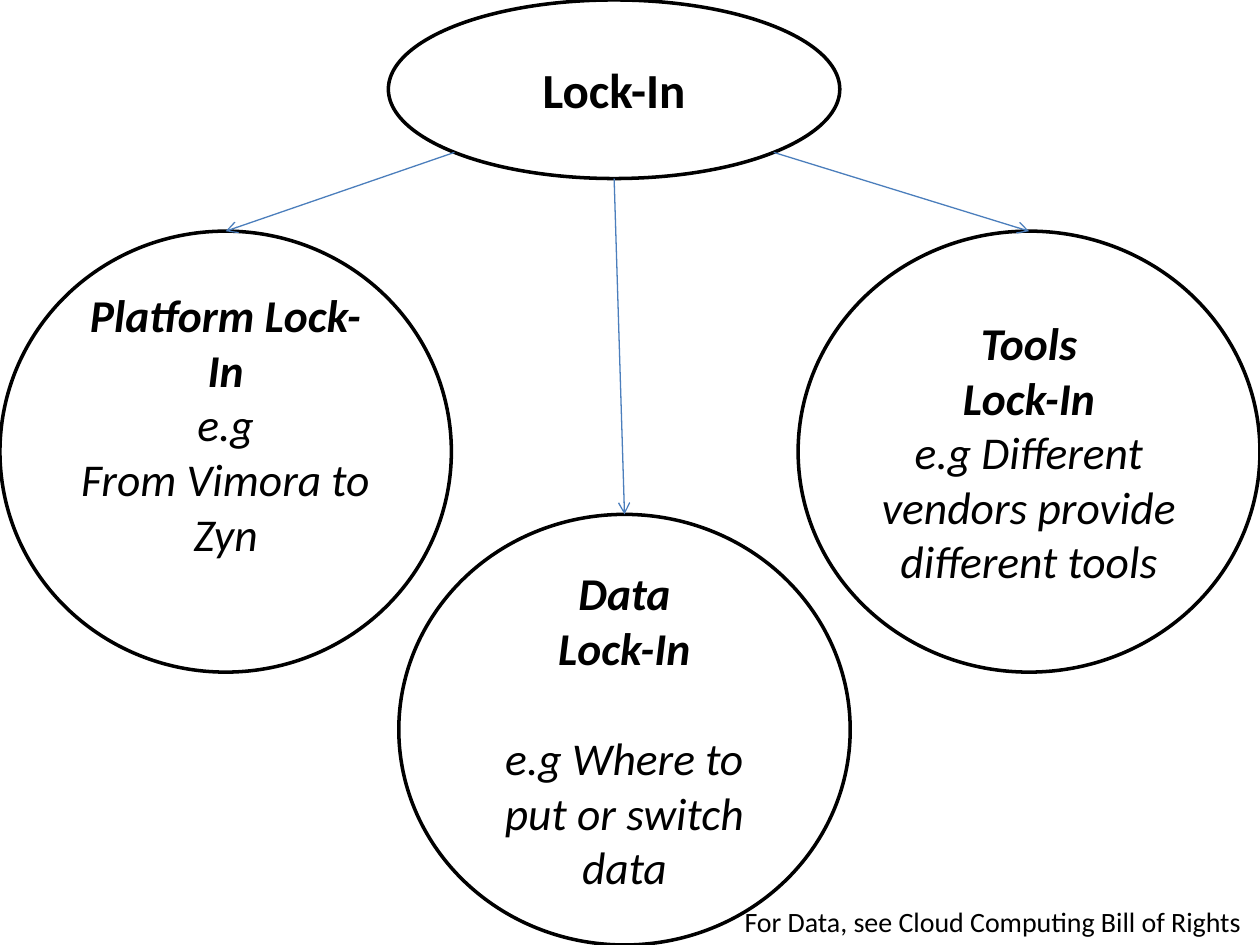
import math
import pptx
import pptx.util
import pptx.dml.color
import pptx.enum.shapes
import pptx.enum.text
import pptx.oxml
import pptx.oxml.ns

Cm = pptx.util.Cm
Pt = pptx.util.Pt
RGB = pptx.dml.color.RGBColor.from_string
ALIGN = pptx.enum.text.PP_ALIGN
hues = {"ink": "000000", "paper": "FFFFFF", "arrow": "4B7EBC"}


def write(frame, text, size=26, bold=False, slant=False, align=ALIGN.CENTER, gap=0):
    para = frame.paragraphs[0]
    if para.runs:
        para = frame.add_paragraph()
    para.alignment = align
    para.space_before = Pt(gap)
    run = para.add_run()
    run.text = text
    font = run.font
    font.name = "Calibri"
    font.size = Pt(size)
    font.bold = bold
    font.italic = slant
    font.color.rgb = RGB(hues["ink"])


def oval(left, top, width, height):
    shape = slide.shapes.add_shape(
        pptx.enum.shapes.MSO_SHAPE.OVAL, Cm(left), Cm(top), Cm(width), Cm(height))
    shape.shadow.inherit = False
    shape.fill.solid()
    shape.fill.fore_color.rgb = RGB(hues["paper"])
    shape.line.color.rgb = RGB(hues["ink"])
    shape.line.width = Pt(2)
    shape.text_frame.word_wrap = True
    shape.text_frame.vertical_anchor = pptx.enum.text.MSO_ANCHOR.MIDDLE
    return shape


deck = pptx.Presentation()
deck.slide_width = Cm(25.4)
deck.slide_height = Cm(19.05)
slide = deck.slides.add_slide(deck.slide_layouts[6])

root = oval(7.83, 0, 9.1, 3.6)
write(root.text_frame, "Lock-In", size=28, bold=True)

kinds = [
    ((0, 4.66, 9.1, 8.89), ["Platform Lock-In"],
     ["e.g", "From Vimora to Zyn"], 0, 1.25, 225),
    ((8.04, 10.37, 9.1, 8.68), ["Data", "Lock-In"],
     ["e.g Where to put or switch data"], 32, 0.13, 270),
    ((16.09, 4.66, 9.31, 8.89), ["Tools", "Lock-In"],
     ["e.g Different vendors provide different tools"], 0, 0.13, 315),
]
for box, title, notes, gap, inset, angle in kinds:
    ball = oval(*box)
    frame = ball.text_frame
    frame.margin_bottom = Cm(inset)
    for text in title:
        write(frame, text, bold=True, slant=True)
    for text in notes:
        write(frame, text, slant=True, gap=gap)

    turn = math.radians(angle)
    x = root.left + root.width / 2 * (1 + math.cos(turn))
    y = root.top + root.height / 2 * (1 - math.sin(turn))
    arrow = slide.shapes.add_connector(
        pptx.enum.shapes.MSO_CONNECTOR.STRAIGHT, int(x), int(y), 0, 0)
    arrow.end_connect(ball, 0)
    arrow.line.color.rgb = RGB(hues["arrow"])
    arrow.line.width = Pt(0.75)
    tail = pptx.oxml.parse_xml(
        '<a:tailEnd %s type="arrow"/>' % pptx.oxml.ns.nsdecls("a"))
    arrow.line._get_or_add_ln().append(tail)
    flat = pptx.oxml.parse_xml("<a:effectLst %s/>" % pptx.oxml.ns.nsdecls("a"))
    arrow._element.spPr.append(flat)

note = slide.shapes.add_textbox(Cm(14.76), Cm(18.11), Cm(10.64), Cm(0.94))
note.text_frame.word_wrap = False
note.text_frame.auto_size = pptx.enum.text.MSO_AUTO_SIZE.SHAPE_TO_FIT_TEXT
write(note.text_frame, "For Data, see Cloud Computing Bill of Rights",
      size=16, align=ALIGN.LEFT)

deck.save("out.pptx")
